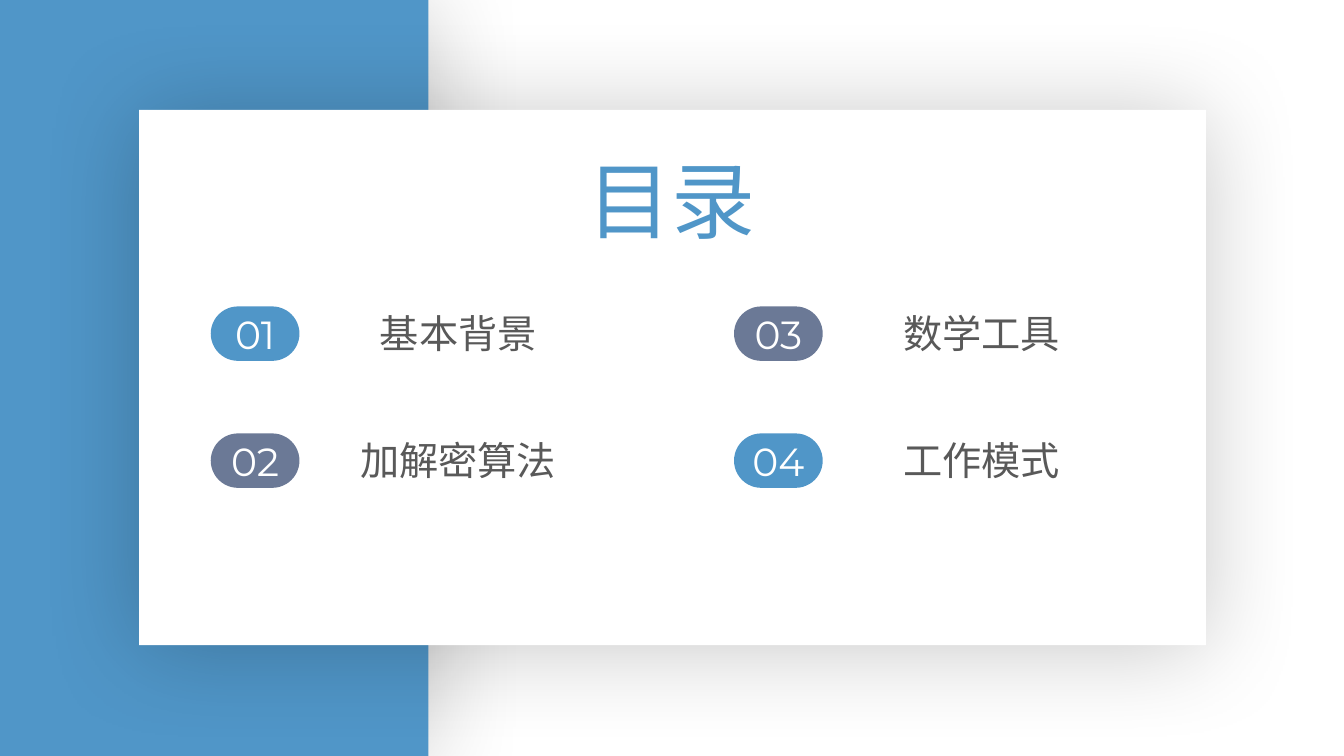
from lxml import etree
from pptx import Presentation
from pptx.dml.color import RGBColor
from pptx.enum.shapes import MSO_SHAPE
from pptx.enum.text import MSO_ANCHOR, MSO_AUTO_SIZE, PP_ALIGN
from pptx.oxml.ns import qn
from pptx.util import Inches, Pt

RECTANGLE = MSO_SHAPE.RECTANGLE
ROUNDED = MSO_SHAPE.ROUNDED_RECTANGLE
TOP, MIDDLE = MSO_ANCHOR.TOP, MSO_ANCHOR.MIDDLE
GROW, FIXED = MSO_AUTO_SIZE.SHAPE_TO_FIT_TEXT, MSO_AUTO_SIZE.NONE
CENTER = PP_ALIGN.CENTER

BLUE = RGBColor(0x50, 0x96, 0xC8)
SLATE = RGBColor(0x6B, 0x79, 0x96)
GRAY = RGBColor(0x59, 0x59, 0x59)
WHITE = RGBColor(0xFF, 0xFF, 0xFF)

HAN_FONT = "Noto Sans CJK SC"
NUMBER_FONT = "Montserrat"
TITLE_FORMAT = {"size": Pt(60), "name": HAN_FONT}
LABEL_FORMAT = {"size": Pt(28), "name": HAN_FONT}
NUMBER_FORMAT = {"size": Pt(28), "name": NUMBER_FONT}

TOPICS = ["基本背景", "加解密算法", "数学工具", "工作模式"]
BADGE_COLORS = [BLUE, SLATE, SLATE, BLUE]
ROWS = 2
COLUMN_STEP, ROW_STEP = 5.19, 1.26


def add_block(shapes, kind, box, color):
    """Add a filled shape without outline; box is left, top, width, height."""
    block = shapes.add_shape(kind, *map(Inches, box))
    block.shadow.inherit = False
    block.fill.solid()
    block.fill.fore_color.rgb = color
    block.line.fill.background()
    return block


def add_soft_shadow(block):
    effects = block.element.spPr.find(qn("a:effectLst"))
    shadow = etree.SubElement(
        effects, qn("a:outerShdw"), blurRad=str(Pt(73)), dist=str(Pt(3)),
        dir=str(100 * 60000), algn="ctr", rotWithShape="0")
    color = etree.SubElement(shadow, qn("a:srgbClr"), val="000000")
    etree.SubElement(color, qn("a:alpha"), val="22000")


def write_text(shape, text, text_format, color, anchor, auto_size):
    """Write one centred line into a shape."""
    frame = shape.text_frame
    frame.word_wrap = True
    frame.auto_size = auto_size
    frame.vertical_anchor = anchor
    para = frame.paragraphs[0]
    para.alignment = CENTER
    span = para.add_run()
    span.text = text
    for name, value in text_format.items():
        setattr(span.font, name, value)
    span.font.color.rgb = color
    etree.SubElement(span.font._element, qn("a:ea"), typeface=text_format["name"])


def add_backdrop(page):
    """Blue side band and the white panel over it."""
    band = add_block(page.shapes, RECTANGLE, (0, 0, 4.25, 7.5), BLUE)
    panel = add_block(page.shapes, ROUNDED, (1.38, 1.09, 10.58, 5.31), WHITE)
    panel.adjustments[0] = 0
    for block in (band, panel):
        add_soft_shadow(block)
    return panel


def place_title(page, panel, box):
    title = page.shapes.title
    title.left, title.top, title.width, title.height = map(Inches, box)
    write_text(title, "目录", TITLE_FORMAT, BLUE, TOP, GROW)
    # Bring the title in front of the panel
    panel.element.addnext(title.element)


def add_topic(page, left, top, number, topic, color):
    """Numbered badge with its topic to the right."""
    group = page.shapes.add_group_shape()
    badge = add_block(group.shapes, ROUNDED, (left, top, 0.88, 0.54), color)
    badge.adjustments[0] = 0.5
    write_text(badge, f"{number:02}", NUMBER_FORMAT, WHITE, MIDDLE, FIXED)
    label_box = (left + 0.94, top - 0.02, 3.03, 0.57)
    label = group.shapes.add_textbox(*map(Inches, label_box))
    write_text(label, topic, LABEL_FORMAT, GRAY, TOP, GROW)


def add_contents(page, left, top):
    """Topics in two columns, numbered down each column."""
    for index, (topic, color) in enumerate(zip(TOPICS, BADGE_COLORS)):
        column, row = divmod(index, ROWS)
        add_topic(page, left + column * COLUMN_STEP, top + row * ROW_STEP,
                  index + 1, topic, color)


def main():
    deck = Presentation()
    deck.slide_width, deck.slide_height = Inches(13.33), Inches(7.5)
    page = deck.slides.add_slide(deck.slide_layouts.get_by_name("Title Only"))
    panel = add_backdrop(page)
    place_title(page, panel, (4.5, 1.42, 4.33, 1.11))
    add_contents(page, 2.09, 3.04)
    deck.save("out.pptx")


if __name__ == "__main__":
    main()
